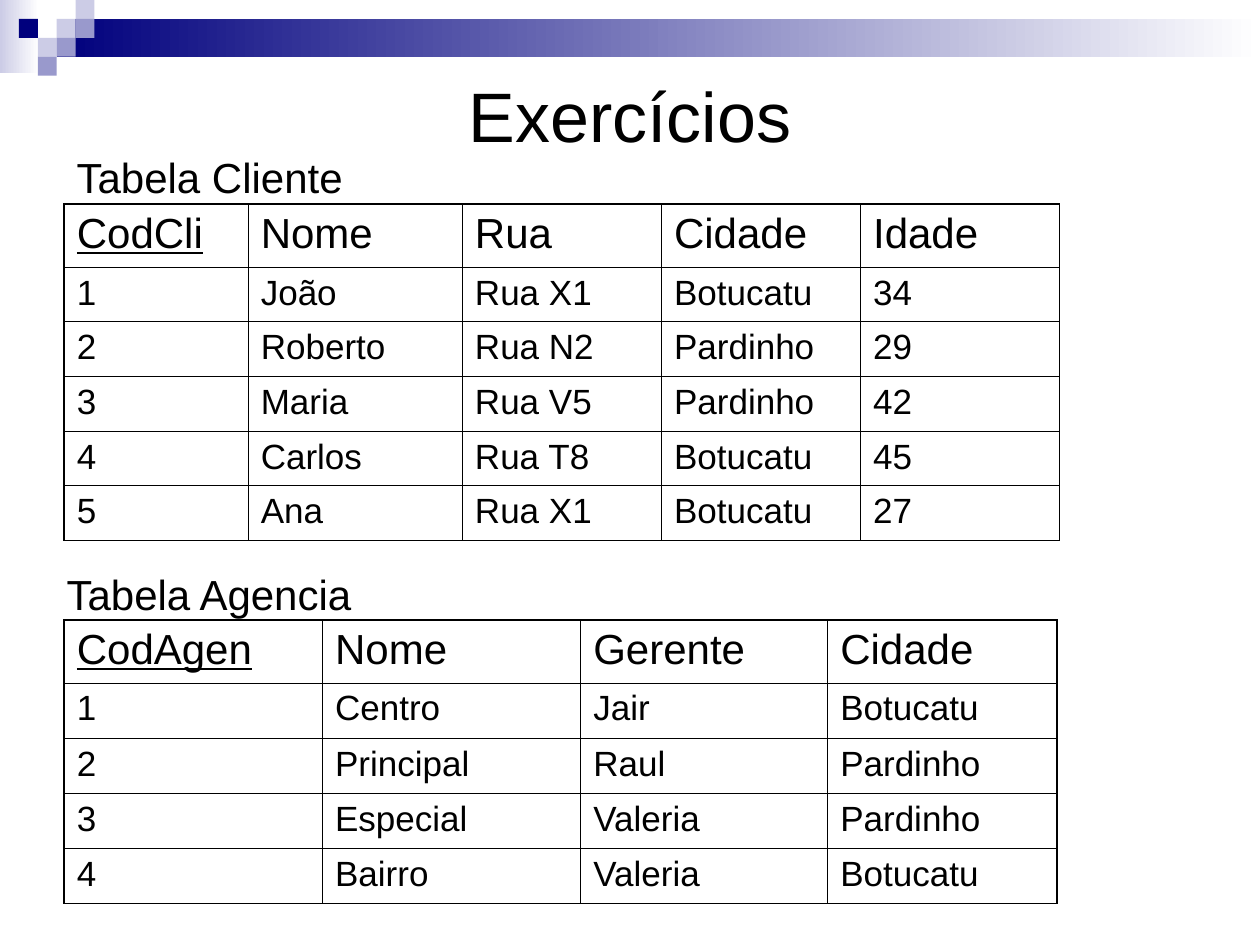
from dataclasses import dataclass

from lxml.etree import SubElement
from pptx import Presentation
from pptx.dml.color import RGBColor
from pptx.enum.shapes import MSO_SHAPE
from pptx.enum.text import MSO_ANCHOR, MSO_AUTO_SIZE, PP_ALIGN
from pptx.oxml.ns import qn
from pptx.util import Inches, Pt


@dataclass(frozen=True)
class Theme:
    font: str = "Arial"
    text: str = "000000"
    white: str = "FFFFFF"
    navy: str = "00007D"
    violet: str = "9999CC"
    lilac: str = "CCCCE6"
    title_size: int = 40
    head_size: int = 24
    body_size: int = 20
    outer_line: float = 1.08
    inner_line: float = 0.45


THEME = Theme()

CLIENTS = [
    ["CodCli", "Nome", "Rua", "Cidade", "Idade"],
    ["1", "João", "Rua X1", "Botucatu", "34"],
    ["2", "Roberto", "Rua N2", "Pardinho", "29"],
    ["3", "Maria", "Rua V5", "Pardinho", "42"],
    ["4", "Carlos", "Rua T8", "Botucatu", "45"],
    ["5", "Ana", "Rua X1", "Botucatu", "27"],
]
BRANCHES = [
    ["CodAgen", "Nome", "Gerente", "Cidade"],
    ["1", "Centro", "Jair", "Botucatu"],
    ["2", "Principal", "Raul", "Pardinho"],
    ["3", "Especial", "Valeria", "Pardinho"],
    ["4", "Bairro", "Valeria", "Botucatu"],
]


def style_paragraph(p, size, align=PP_ALIGN.LEFT, underline=False):
    p.alignment = align
    p.font.name = THEME.font
    p.font.size = Pt(size)
    p.font.underline = underline
    p.font.color.rgb = RGBColor.from_string(THEME.text)


def add_block(group, x, y, w, h, *colors):
    """Borderless rectangle: one colour is solid, two make a gradient."""
    sp = group.shapes.add_shape(
        MSO_SHAPE.RECTANGLE, Inches(x), Inches(y), Inches(w), Inches(h))
    sp.shadow.inherit = False
    sp.line.fill.background()
    if len(colors) == 1:
        sp.fill.solid()
        sp.fill.fore_color.rgb = RGBColor.from_string(colors[0])
    else:
        sp.fill.gradient()
        sp.fill.gradient_angle = 0
        for stop, color in zip(sp.fill.gradient_stops, colors):
            stop.color.rgb = RGBColor.from_string(color)


def add_banner(s, x, y, w):
    """Gradient bar and mosaic of squares along the top edge."""
    group = s.shapes.add_group_shape()
    unit = 0.15
    add_block(group, x, y, 0.31, 0.58, THEME.lilac, THEME.white)
    add_block(group, x + 3 * unit, y + unit, w - 3 * unit, 2 * unit,
              THEME.navy, THEME.white)
    squares = [(3, 1, THEME.lilac), (4, 0, THEME.lilac), (4, 1, THEME.violet),
               (2, 2, THEME.lilac), (1, 1, THEME.navy), (3, 2, THEME.violet),
               (2, 3, THEME.violet)]
    for col, row, color in squares:
        add_block(group, x + col * unit, y + row * unit, unit, unit, color)
    # Keep the banner behind the title
    s.shapes.title.element.addprevious(group.element)


def add_title(s, text, x, y, w, h):
    title = s.shapes.title
    title.left, title.top = Inches(x), Inches(y)
    title.width, title.height = Inches(w), Inches(h)
    tf = title.text_frame
    tf.text = text
    tf.vertical_anchor = MSO_ANCHOR.MIDDLE
    tf.auto_size = MSO_AUTO_SIZE.NONE
    style_paragraph(tf.paragraphs[0], THEME.title_size, PP_ALIGN.CENTER)


def add_caption(s, text, x, y, w, h):
    box = s.shapes.add_textbox(Inches(x), Inches(y), Inches(w), Inches(h))
    tf = box.text_frame
    tf.word_wrap = True
    tf.auto_size = MSO_AUTO_SIZE.SHAPE_TO_FIT_TEXT
    tf.text = text
    style_paragraph(tf.paragraphs[0], THEME.head_size)


def set_borders(cell, left, right, top, bottom):
    """Each flag tells whether that side lies on the table's outer edge."""
    tc_pr = cell._tc.get_or_add_tcPr()
    for tag, outer in zip(("lnL", "lnR", "lnT", "lnB"),
                          (left, right, top, bottom)):
        width = THEME.outer_line if outer else THEME.inner_line
        ln = SubElement(tc_pr, qn(f"a:{tag}"), w=str(int(Pt(width))))
        fill = SubElement(ln, qn("a:solidFill"))
        SubElement(fill, qn("a:srgbClr"), val=THEME.text)


def add_data_table(s, rows, x, y, col_widths, h):
    """Grid with a taller header row; the key column's header is underlined."""
    head_h = 0.5
    last_row, last_col = len(rows) - 1, len(col_widths) - 1
    table = s.shapes.add_table(
        len(rows), len(col_widths), Inches(x), Inches(y),
        Inches(sum(col_widths)), Inches(h)).table
    table.first_row = table.horz_banding = False
    for col, width in zip(table.columns, col_widths):
        col.width = Inches(width)
    for i, values in enumerate(rows):
        table.rows[i].height = Inches(head_h if i == 0 else (h - head_h) / last_row)
        for j, value in enumerate(values):
            cell = table.cell(i, j)
            cell.text = value
            style_paragraph(cell.text_frame.paragraphs[0],
                            THEME.head_size if i == 0 else THEME.body_size,
                            underline=i == 0 and j == 0)
            set_borders(cell, j == 0, j == last_col, i == 0, i == last_row)
            cell.fill.background()


def main():
    prs = Presentation()
    prs.slide_width, prs.slide_height = Inches(10), Inches(7.5)
    s = prs.slides.add_slide(prs.slide_layouts[5])
    add_banner(s, 0, 0, 10)
    add_title(s, "Exercícios", 0.5, 0.5, 9, 0.81)
    # Client table
    add_data_table(s, CLIENTS, 0.51, 1.62, [1.46, 1.7, 1.58, 1.58, 1.58], 2.67)
    add_caption(s, "Tabela Cliente", 0.51, 1.15, 3.33, 0.5)
    # Branch table
    add_data_table(s, BRANCHES, 0.51, 4.92, [2.05, 2.05, 1.96, 1.82], 2.25)
    add_caption(s, "Tabela Agencia", 0.43, 4.46, 3.33, 0.5)
    prs.save("out.pptx")


if __name__ == "__main__":
    main()
